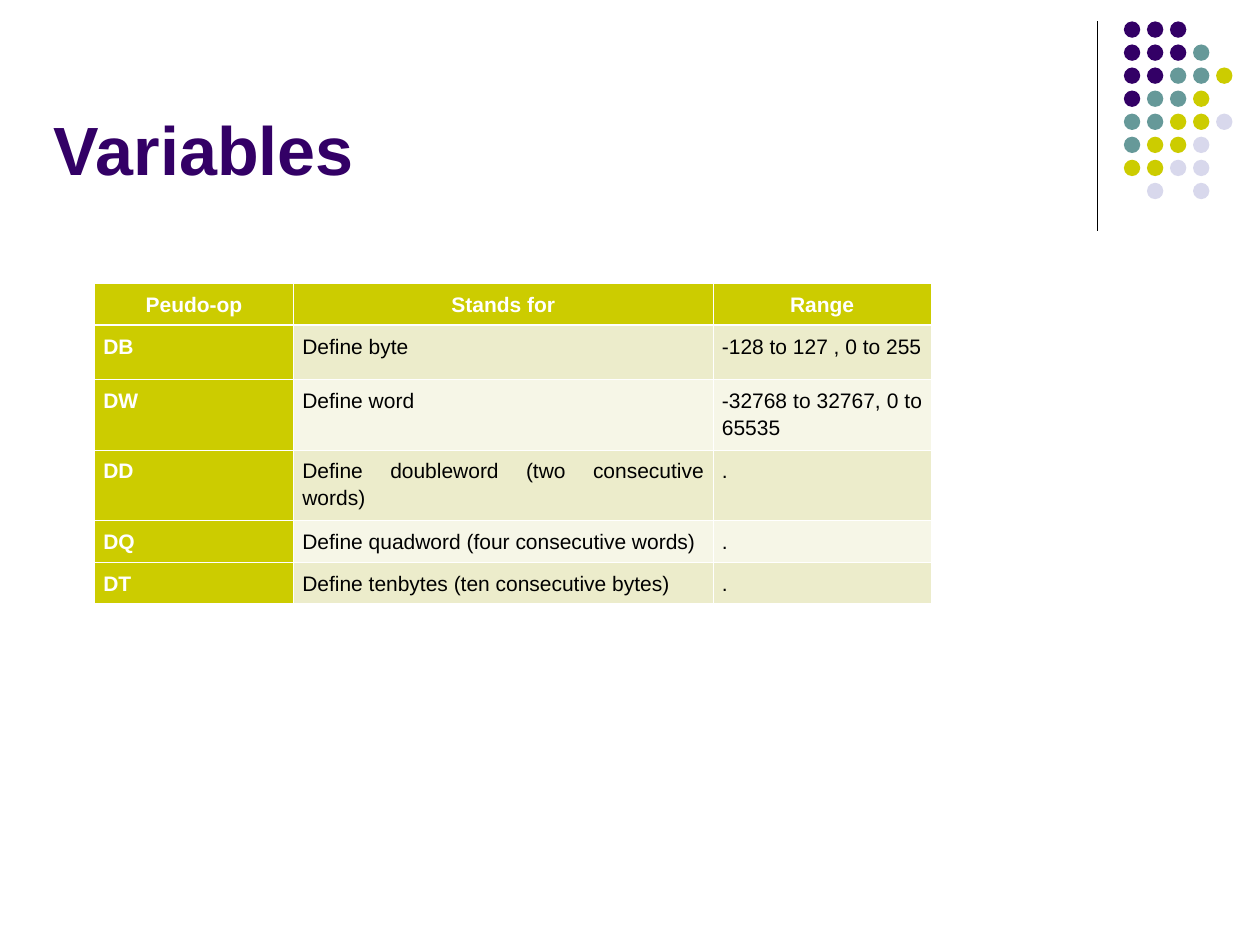
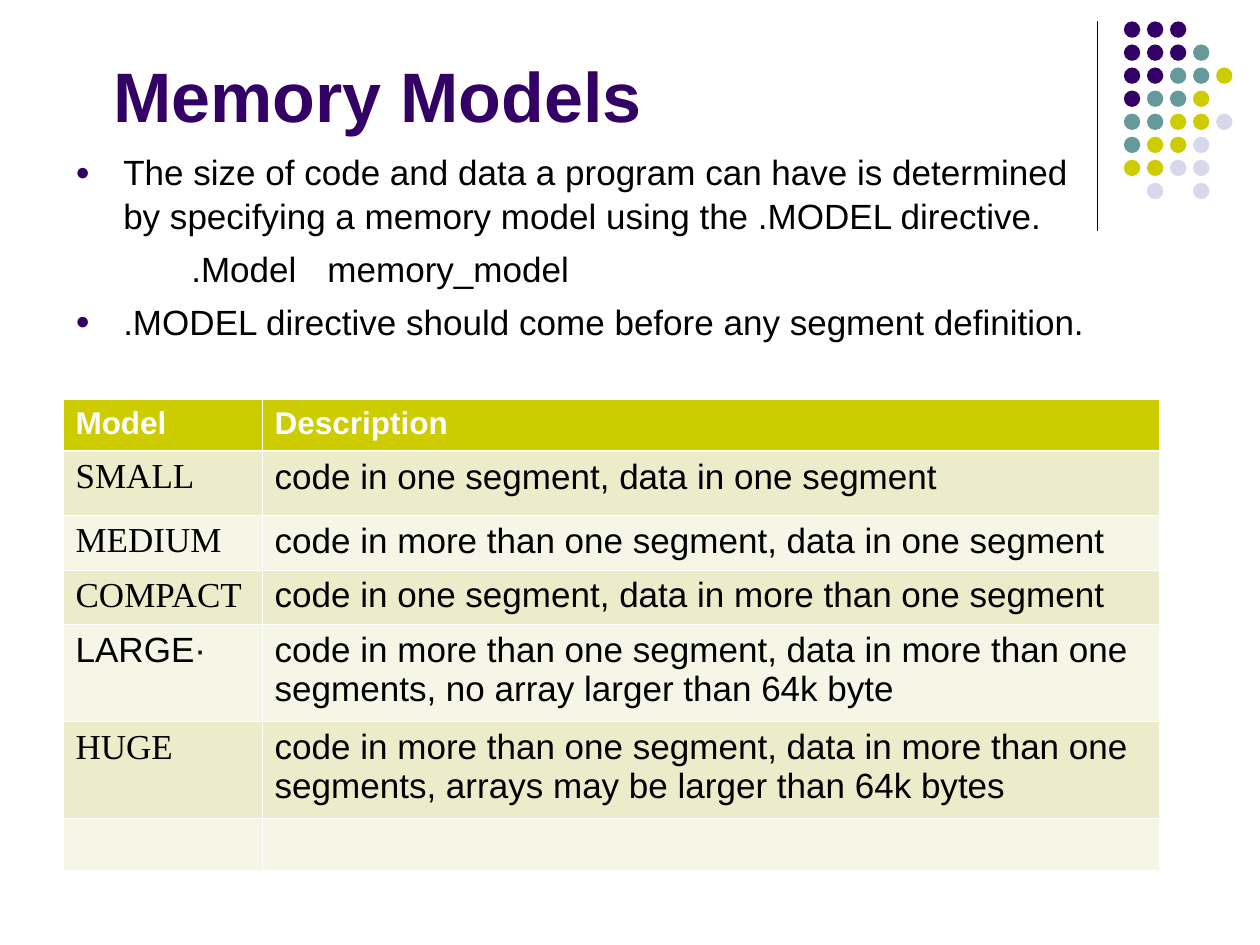
from lxml import etree
from pptx import Presentation
from pptx.dml.color import RGBColor
from pptx.enum.shapes import MSO_CONNECTOR, MSO_SHAPE
from pptx.enum.text import MSO_ANCHOR, PP_ALIGN
from pptx.oxml.ns import qn
from pptx.util import Inches, Pt

STRAIGHT = MSO_CONNECTOR.STRAIGHT
OVAL = MSO_SHAPE.OVAL
BOTTOM = MSO_ANCHOR.BOTTOM
LEFT, CENTER, JUSTIFY = PP_ALIGN.LEFT, PP_ALIGN.CENTER, PP_ALIGN.JUSTIFY

BLACK = RGBColor(0x00, 0x00, 0x00)
WHITE = RGBColor(0xFF, 0xFF, 0xFF)
PURPLE = RGBColor(0x33, 0x00, 0x66)
TEAL = RGBColor(0x66, 0x99, 0x99)
LIME = RGBColor(0xCC, 0xCC, 0x00)
LAVENDER = RGBColor(0xD8, 0xD8, 0xEC)
BAND_DARK = RGBColor(0xEC, 0xEC, 0xCB)
BAND_LIGHT = RGBColor(0xF6, 0xF6, 0xE7)

SANS, SERIF = "Arial", "Times New Roman"
THIN, THICK = 0.45, 1.47

DOT_COLORS = {"P": PURPLE, "T": TEAL, "L": LIME, "V": LAVENDER}
DOT_ROWS = ["PPP", "PPPT", "PPTTL", "PTTL", "TTLLV", "TLLV", "LLVV", " V V"]
DOT_SIZE, DOT_PITCH = 0.13, 0.183

VARIABLES = [
    ["Peudo-op", "Stands for", "Range"],
    ["DB", "Define byte", "-128 to 127 , 0 to 255"],
    ["DW", "Define word", "-32768 to 32767, 0 to 65535"],
    ["DD", "Define doubleword (two consecutive words)", "."],
    ["DQ", "Define quadword (four consecutive words)", "."],
    ["DT", "Define tenbytes (ten consecutive bytes)", "."],
]
MODELS = [
    ["Model", "Description"],
    ["SMALL", "code in one segment, data in one segment"],
    ["MEDIUM", "code in more than one segment, data in one segment"],
    ["COMPACT", "code in one segment, data in more than one segment"],
    ["LARGE·", "code in more than one segment, data in more than one segments, "
               "no array larger than 64k byte"],
    ["HUGE", "code in more than one segment, data in more than one segments, "
             "arrays may be larger than 64k bytes"],
    ["", ""],
]


def style_font(para, size, color, bold=False, name=SANS):
    """Set the font of a whole paragraph."""
    font = para.font
    font.name, font.size, font.bold = name, Pt(size), bold
    font.color.rgb = color


def add_dots(page, left, top):
    """Draw the corner grid of coloured dots."""
    for row, pattern in enumerate(DOT_ROWS):
        for column, key in enumerate(pattern):
            if key == " ":
                continue
            dot = page.shapes.add_shape(
                OVAL, Inches(left + column * DOT_PITCH), Inches(top + row * DOT_PITCH),
                Inches(DOT_SIZE), Inches(DOT_SIZE))
            dot.shadow.inherit = False
            dot.fill.solid()
            dot.fill.fore_color.rgb = DOT_COLORS[key]
            dot.line.fill.background()


def add_rule(page, left, top, bottom):
    """Draw the thin vertical rule beside the dots."""
    rule = page.shapes.add_connector(
        STRAIGHT, Inches(left), Inches(top), Inches(left), Inches(bottom))
    rule.line.color.rgb = BLACK
    rule.line.width = Pt(0.75)
    etree.SubElement(rule.element.spPr, qn("a:effectLst"))


def add_text_frame(page, left, top, width, height):
    """Add a wrapping text box and return its frame."""
    box = page.shapes.add_textbox(
        Inches(left), Inches(top), Inches(width), Inches(height))
    box.text_frame.word_wrap = True
    return box.text_frame


def add_page(deck, title, left, top, width, size):
    """Add a page with the shared corner ornament and a title."""
    page = deck.slides.add_slide(deck.slide_layouts[6])
    add_rule(page, 8.71, 0.17, 1.83)
    add_dots(page, 8.92, 0.17)
    frame = add_text_frame(page, left, top, width, 0.97)
    frame.vertical_anchor = BOTTOM
    para = frame.paragraphs[0]
    para.text = title
    style_font(para, size, PURPLE, bold=True)
    return page


def set_borders(cell, top, bottom):
    """Give a filled cell white borders, with its own top and bottom widths."""
    properties = cell._tc.get_or_add_tcPr()
    sides = [("L", THIN), ("R", THIN), ("T", top), ("B", bottom)]
    for index, (side, width) in enumerate(sides):
        line = etree.Element(qn(f"a:ln{side}"), w=str(Pt(width)))
        fill = etree.SubElement(line, qn("a:solidFill"))
        etree.SubElement(fill, qn("a:srgbClr"), val=str(WHITE))
        properties.insert(index, line)


def add_grid(page, left, top, widths, heights, rows, style_cell, heading_column=False):
    """Add a banded table; style_cell formats the paragraph of each filled cell."""
    table = page.shapes.add_table(
        len(rows), len(widths), Inches(left), Inches(top),
        Inches(sum(widths)), Inches(sum(heights))).table
    table.horz_banding = False
    for column, width in zip(table.columns, widths):
        column.width = Inches(width)
    for row, height in zip(table.rows, heights):
        row.height = Inches(height)
    for row, texts in enumerate(rows):
        for column, text in enumerate(texts):
            cell = table.cell(row, column)
            heading = row == 0 or (heading_column and column == 0)
            cell.fill.solid()
            cell.fill.fore_color.rgb = (
                LIME if heading else BAND_DARK if row % 2 else BAND_LIGHT)
            set_borders(cell, THICK if row == 1 else THIN, THICK if row == 0 else THIN)
            if text:
                cell.text = text
                style_cell(cell, row, column, heading)


def style_variable_cell(cell, row, column, heading):
    """Format a cell of the variables table."""
    cell.margin_left = cell.margin_right = Inches(0.07)
    para = cell.text_frame.paragraphs[0]
    para.alignment = JUSTIFY if row else CENTER
    para.line_spacing = 1.15
    style_font(para, 12, WHITE if heading else BLACK, heading)


def style_model_cell(cell, row, column, heading):
    """Format a cell of the memory models table."""
    para = cell.text_frame.paragraphs[0]
    para.alignment = LEFT
    serif = row > 0 and column == 0 and cell.text != "LARGE·"
    style_font(para, 18 if heading else 20, WHITE if heading else BLACK,
               heading, SERIF if serif else SANS)


def set_bullet(para):
    """Give a paragraph a hanging purple bullet."""
    properties = para._p.get_or_add_pPr()
    properties.set("marL", str(Inches(0.38)))
    properties.set("indent", str(Inches(-0.38)))
    color = etree.SubElement(properties, qn("a:buClr"))
    etree.SubElement(color, qn("a:srgbClr"), val=str(PURPLE))
    etree.SubElement(properties, qn("a:buSzPct"), val="70000")
    etree.SubElement(properties, qn("a:buFont"), typeface=SANS)
    etree.SubElement(properties, qn("a:buChar"), char="●")


def set_syntax_tabs(para):
    """Indent the syntax line and place its tab stop."""
    properties = para._p.get_or_add_pPr()
    properties.set("marL", "0")
    properties.set("indent", str(Inches(0.92)))
    etree.SubElement(properties, qn("a:buNone"))
    tabs = etree.SubElement(properties, qn("a:tabLst"))
    etree.SubElement(tabs, qn("a:tab"), pos=str(Inches(2.46)), algn="l")


def add_model_notes(page, left, top, width, height):
    """Write the notes on the .MODEL directive."""
    frame = add_text_frame(page, left, top, width, height)
    notes = [
        ("The size of code and data a program can have is determined by specifying "
         "a memory model using the .MODEL directive.", set_bullet),
        (".Model\tmemory_model", set_syntax_tabs),
        (".MODEL directive should come before any segment definition.", set_bullet),
    ]
    for index, (text, set_layout) in enumerate(notes):
        para = frame.add_paragraph() if index else frame.paragraphs[0]
        para.text = text
        set_layout(para)
        para.line_spacing = 1.05
        if index:
            para.space_before = Pt(5)
        style_font(para, 20, BLACK)


def build_variables(deck):
    """Build the page on variables."""
    page = add_page(deck, "Variables", 0.33, 0.58, 8.25, 39)
    add_grid(page, 0.75, 2.25, [1.58, 3.33, 1.73],
             [0.21, 0.43, 0.43, 0.43, 0.21, 0.21],
             VARIABLES, style_variable_cell, heading_column=True)


def build_memory_models(deck):
    """Build the page on memory models."""
    page = add_page(deck, "Memory Models", 0.8, 0.16, 7.33, 40)
    add_model_notes(page, 0.5, 1.13, 8.25, 1.87)
    add_grid(page, 0.5, 3.17, [1.58, 7.12],
             [0.41, 0.51, 0.43, 0.43, 0.77, 0.77, 0.41],
             MODELS, style_model_cell)


def main():
    """Build and save the deck."""
    deck = Presentation()
    deck.slide_width, deck.slide_height = Inches(10), Inches(7.5)
    build_variables(deck)
    build_memory_models(deck)
    deck.save("out.pptx")


if __name__ == "__main__":
    main()
